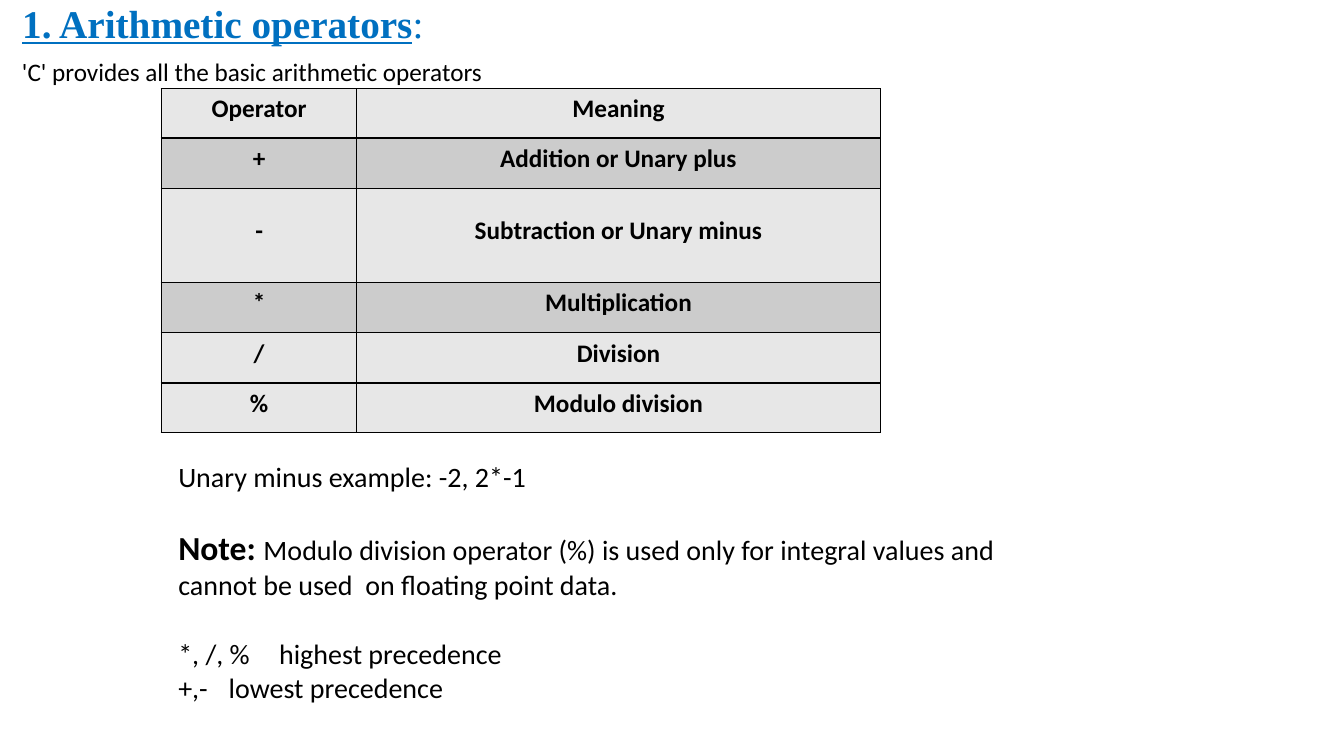
from lxml import etree
from pptx import Presentation, util as u
from pptx.dml.color import RGBColor
from pptx.enum import text
from pptx.oxml.ns import qn

COLORS = {"heading": "0070C0", "ink": "000000", "light": "E7E7E7", "dark": "CCCCCC"}
OPERATORS = [
    ("Operator", "Meaning"),
    ("+", "Addition or Unary plus"),
    ("-", "Subtraction or Unary minus"),
    ("*", "Multiplication"),
    ("/", "Division"),
    ("%", "Modulo division"),
]
COL_WIDTHS = [1.94, 5.19]
ROW_HEIGHTS = [0.49, 0.5, 0.93, 0.5, 0.5, 0.49]
DARK_ROWS = {1, 3}


def add_run(p, words, size, bold=False, color="ink", font="Calibri", underline=False):
    r = p.add_run()
    r.text = words
    r.font.size = u.Pt(size)
    r.font.name = font
    r.font.bold = bold
    r.font.underline = underline
    r.font.color.rgb = RGBColor.from_string(COLORS[color])


def add_text_box(s, box):
    tf = s.shapes.add_textbox(*map(u.Inches, box)).text_frame
    tf.word_wrap = True
    return tf


def set_indent(p, indent, tab=None):
    pPr = p._p.get_or_add_pPr()
    pPr.set("marL", str(u.Inches(indent)))
    pPr.set("indent", "0")
    if tab:
        tabs = etree.SubElement(pPr, qn("a:tabLst"))
        etree.SubElement(tabs, qn("a:tab"), pos=str(u.Inches(tab)), algn="l")


def set_borders(cell, top=1):
    tcPr = cell._tc.get_or_add_tcPr()
    widths = {"a:lnL": 1, "a:lnR": 1, "a:lnT": top, "a:lnB": 1}
    for i, (tag, width) in enumerate(widths.items()):
        ln = etree.Element(qn(tag), w=str(u.Pt(width)))
        fill = etree.SubElement(ln, qn("a:solidFill"))
        etree.SubElement(fill, qn("a:srgbClr"), val=COLORS["ink"])
        tcPr.insert(i, ln)


# Heading and the sentence under it
def add_heading(s, box):
    left, top, width, height = box
    title = s.shapes.title
    title.left, title.top, title.width, title.height = map(u.Inches, box)
    tf = title.text_frame
    tf.word_wrap = True
    tf.auto_size = text.MSO_AUTO_SIZE.NONE
    tf.vertical_anchor = text.MSO_ANCHOR.TOP
    p = tf.paragraphs[0]
    p.alignment = text.PP_ALIGN.LEFT
    p.line_spacing = 0.9
    p.space_before = u.Pt(0)
    add_run(p, "1. Arithmetic operators", 28, True, "heading", "Times New Roman", True)
    add_run(p, ":", 28, False, "heading", "Times New Roman")

    p = add_text_box(s, (left, top + 0.54, width, 0.4)).paragraphs[0]
    p.line_spacing = 0.9
    add_run(p, "'C' provides all the basic arithmetic operators", 18)


# Table of operators
def add_operator_table(s, left, top):
    size = (sum(COL_WIDTHS), sum(ROW_HEIGHTS))
    table = s.shapes.add_table(len(OPERATORS), len(COL_WIDTHS),
                               *map(u.Inches, (left, top, *size))).table
    table.first_row = table.horz_banding = False
    for column, width in zip(table.columns, COL_WIDTHS):
        column.width = u.Inches(width)
    for i, (row, height) in enumerate(zip(table.rows, ROW_HEIGHTS)):
        row.height = u.Inches(height)
        for cell, words in zip(row.cells, OPERATORS[i]):
            cell.margin_left = cell.margin_right = 0
            cell.margin_top = cell.margin_bottom = 0
            cell.vertical_anchor = text.MSO_ANCHOR.MIDDLE
            cell.fill.solid()
            shade = COLORS["dark" if i in DARK_ROWS else "light"]
            cell.fill.fore_color.rgb = RGBColor.from_string(shade)
            set_borders(cell, top=2 if i == len(OPERATORS) - 1 else 1)
            p = cell.text_frame.paragraphs[0]
            p.alignment = text.PP_ALIGN.CENTER
            p.line_spacing = u.Pt(16)
            add_run(p, words, 18, True)


# Example, note and precedence below the table
def add_notes(s, box):
    tf = add_text_box(s, box)
    example = tf.paragraphs[0]
    set_indent(example, 0.07)
    add_run(example, "Unary minus example: -2, 2*-1", 20)

    note = tf.add_paragraph()
    note.space_before = u.Pt(24.4)
    set_indent(note, 0.07)
    add_run(note, "Note: ", 24, True)
    add_run(note, "Modulo division operator (%) is used only for integral values "
                  "and cannot be used  on floating point data.", 20)

    for words, gap in (("*, /, %\thighest precedence", 25), ("+,-\tlowest precedence", 0.1)):
        p = tf.add_paragraph()
        p.space_before = u.Pt(gap)
        set_indent(p, 0.07, tab=1.1)
        add_run(p, words, 20)


def main():
    prs = Presentation()
    prs.slide_width, prs.slide_height = u.Inches(13.33), u.Inches(7.5)
    s = prs.slides.add_slide(prs.slide_layouts[5])
    add_heading(s, (0.12, 0, 13.2, 0.5))
    add_operator_table(s, 1.6, 0.88)
    add_notes(s, (1.6, 4.51, 9.13, 2.84))
    prs.save("out.pptx")


if __name__ == "__main__":
    main()
